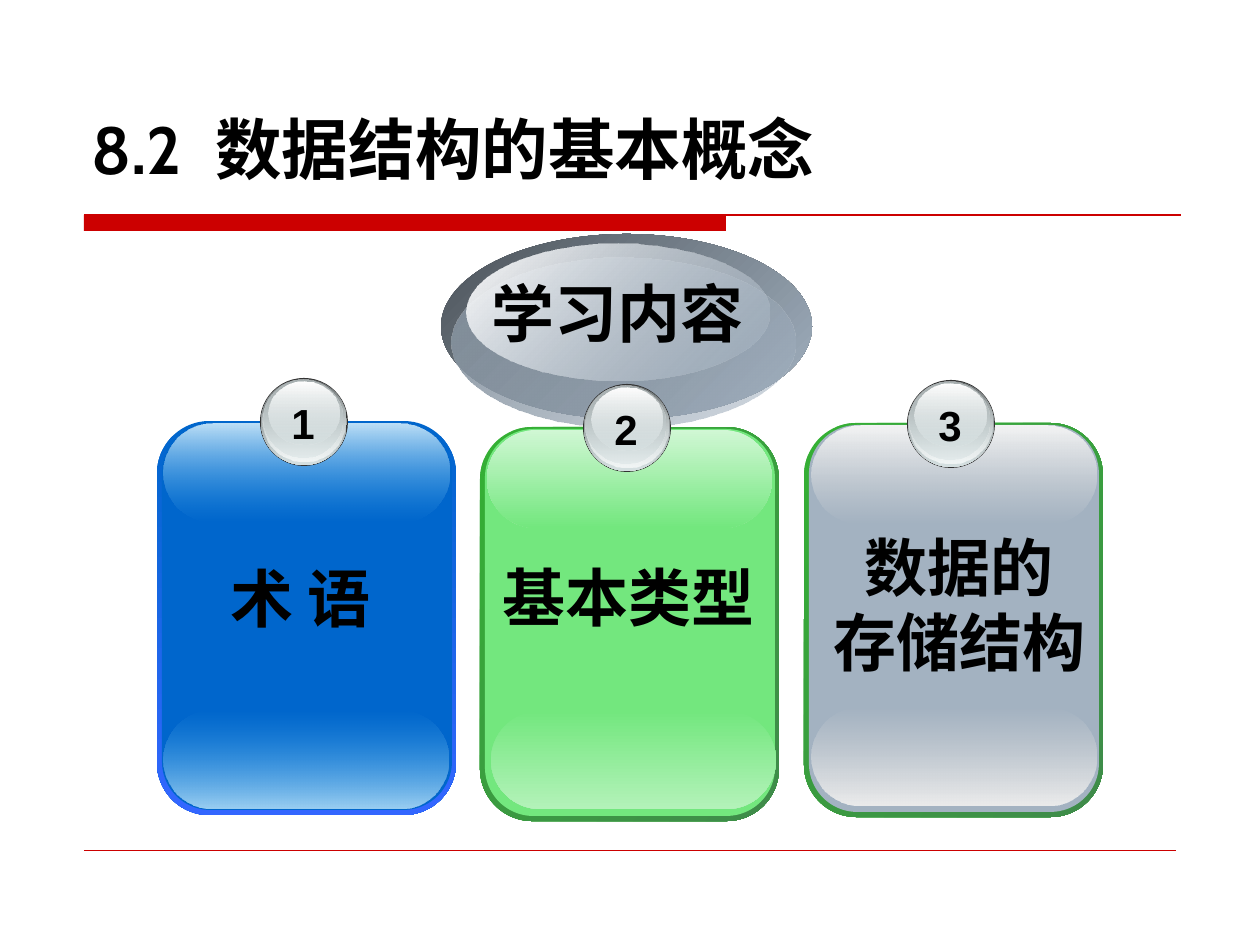
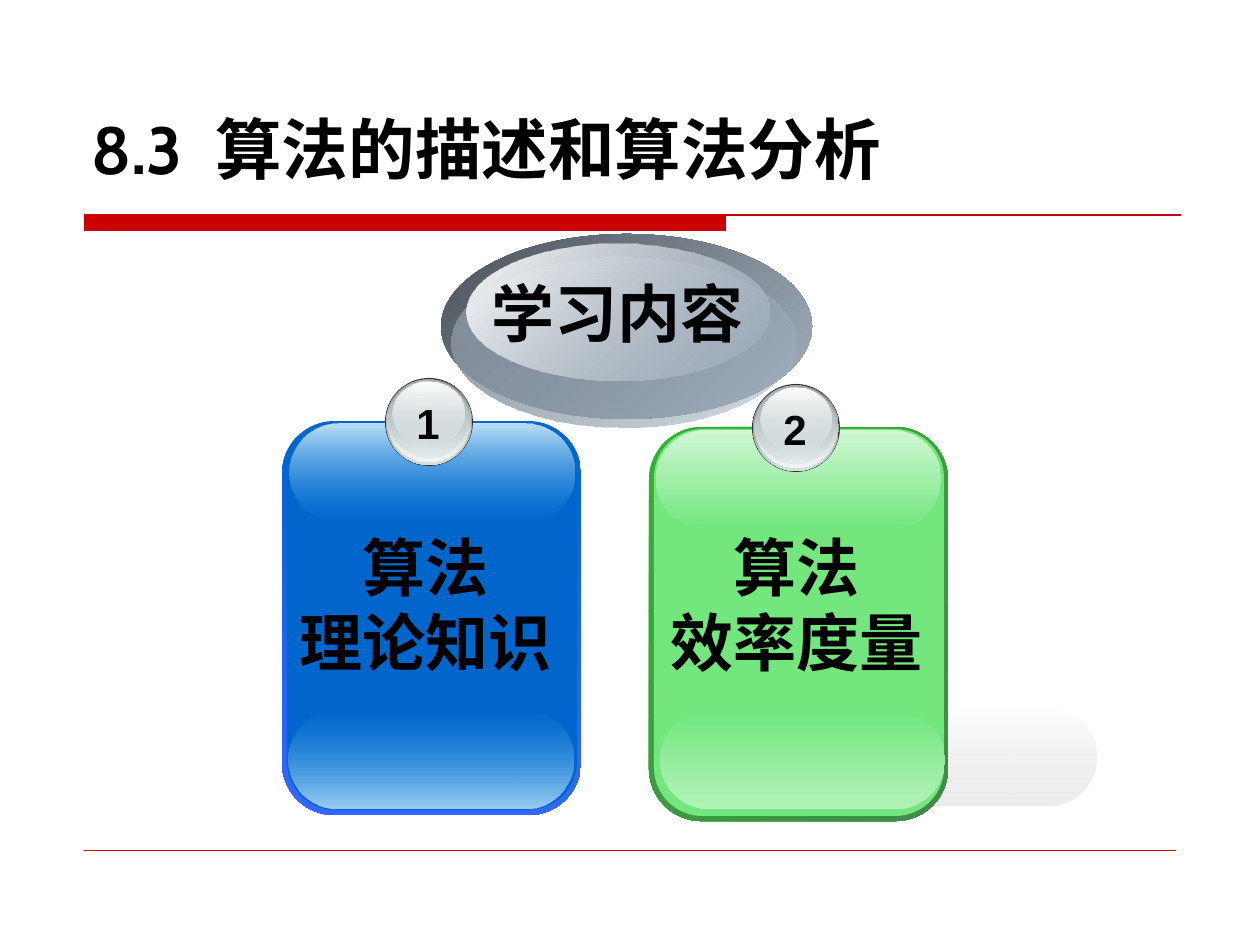
from pptx import Presentation
from pptx.dml.color import RGBColor as RGB
from pptx.enum.lang import MSO_LANGUAGE_ID as LANG
from pptx.enum.shapes import MSO_CONNECTOR as CONN, MSO_SHAPE as SHAPE
from pptx.enum.text import MSO_ANCHOR as ANCHOR, PP_ALIGN as ALIGN
from pptx.oxml.ns import qn
from pptx.util import Pt
from lxml.etree import SubElement

# Colours
RED = RGB(0xCC, 0x00, 0x00)
BLACK = RGB(0x00, 0x00, 0x00)
WHITE = RGB(0xFF, 0xFF, 0xFF)
COAL = RGB(0x33, 0x33, 0x33)
IRON = RGB(0x63, 0x68, 0x69)
ASH = RGB(0xAA, 0xB2, 0xB3)
MIST = RGB(0xD6, 0xE1, 0xE2)
FROST = RGB(0xF1, 0xF5, 0xF5)
SLATE = RGB(0x4B, 0x52, 0x59)
STEEL = RGB(0x81, 0x8D, 0x99)
GREY = RGB(0xA3, 0xB2, 0xC1)
SILVER = RGB(0xDD, 0xDD, 0xDD)
PEARL = RGB(0xEC, 0xEC, 0xEC)
CHALK = RGB(0xF4, 0xF4, 0xF4)
BLUE = RGB(0x00, 0x66, 0xCC)
ROYAL = RGB(0x33, 0x66, 0xFF)
SKY = RGB(0x3C, 0xA1, 0xE6)
PALE = RGB(0x9B, 0xCF, 0xF2)
ICE = RGB(0xBE, 0xE0, 0xF7)
GREEN = RGB(0x73, 0xE7, 0x7E)
LEAF = RGB(0x34, 0xB0, 0x34)
MOSS = RGB(0x3F, 0x8B, 0x4A)
MINT = RGB(0xB3, 0xF2, 0xB9)
LIME = RGB(0xD0, 0xF7, 0xD4)

# Gradients: angle, first colour and opacity, last colour and opacity
FOOT_GREY = (90, SILVER, 0, PEARL, 100)

# Card styles: top edge, rim, face, place of the foot gloss, both glosses
BLUE_CARD = dict(top=421, rim=(90, BLUE, 100, ROYAL, 100), face=BLUE,
                 low=(6, 290), foot=(90, SKY, 0, PALE, 100),
                 head=(90, ICE, 100, SKY, 0))
GREEN_CARD = dict(top=427, rim=(45, LEAF, 100, MOSS, 100), face=GREEN,
                  low=(11, 284), foot=(90, GREEN, 100, MINT, 100),
                  head=(90, LIME, 100, GREEN, 100))
GREY_CARD = dict(top=423, rim=(45, LEAF, 100, MOSS, 100), face=GREY,
                 low=(7, 285), foot=FOOT_GREY,
                 head=(90, CHALK, 100, SILVER, 0))

# Content: each card has a left edge, a style, label lines and a label box
TOPIC = "学习内容"
SLIDES = [
    dict(number="8.2", title="数据结构的基本概念", cards=[
        (157, BLUE_CARD, ["术 语"], (160, 553, 281, 88)),
        (480, GREEN_CARD, ["基本类型"], (488, 552, 281, 88)),
        (804, GREY_CARD, ["数据的", "存储结构"], (809, 522, 301, 164)),
    ]),
    dict(number="8.3", title="算法的描述和算法分析", spare=(811, 708), cards=[
        (282, BLUE_CARD, ["算法", "理论知识"], (285, 522, 281, 164)),
        (649, GREEN_CARD, ["算法", "效率度量"], (656, 522, 281, 164)),
    ]),
]

# Ellipse layers, from back to front: box and fill
OVAL = [
    ((441, 234, 371, 185), (45, SLATE, 100, GREY, 100)),
    ((451, 258, 344, 169), (45, STEEL, 100, GREY, 48)),
    ((467, 244, 303, 137), (45, WHITE, 100, GREY, 38)),
]
BADGE = [
    ((0, 0, 88, 88), COAL),
    ((1, 1, 86, 86), (90, IRON, 100, MIST, 100)),
    ((2, 1, 83, 83), (90, MIST, 0, FROST, 100)),
    ((3, 2, 79, 78), (90, ASH, 100, MIST, 48)),
    ((8, 4, 71, 63), (90, WHITE, 100, MIST, 38)),
]
CARD_W, CARD_H = 299, 394
FACE_W, FACE_H = 290, 387
GLOSS = (285, 98)
UNIT = 914400 / 126


def px(*vals):
    return [round(v * UNIT) for v in vals]


def paint(shape, fill):
    """Fill with a flat colour or a two-stop gradient."""
    if isinstance(fill, RGB):
        shape.fill.solid()
        shape.fill.fore_color.rgb = fill
        return
    angle, first, near, last, far = fill
    shape.fill.gradient()
    shape.fill.gradient_angle = 360 - angle
    for stop, color in zip(shape.fill.gradient_stops, (first, last)):
        stop.color.rgb = color
    tags = shape._element.spPr.iter(qn("a:srgbClr"))
    for tag, alpha in zip(list(tags), (near, far)):
        if alpha < 100:
            SubElement(tag, qn("a:alpha")).set("val", str(alpha * 1000))


def add(slide, kind, box, fill, round_by=None):
    shape = slide.shapes.add_shape(kind, *px(*box))
    shape.shadow.inherit = False
    shape.line.fill.background()
    if round_by is not None:
        shape.adjustments[0] = round_by
    paint(shape, fill)


def rule(slide, x1, x2, y, width):
    line = slide.shapes.add_connector(CONN.STRAIGHT, *px(x1, y, x2, y))
    line.line.color.rgb = RED
    line.line.width = Pt(width)
    SubElement(line._element.spPr, qn("a:effectLst"))


def style(run, size, name="Arial"):
    font = run.font
    font.size, font.name, font.bold = Pt(size), name, True
    font.color.rgb = BLACK
    font.language_id = LANG.SIMPLIFIED_CHINESE


def write(slide, box, lines, size, wrap=True):
    frame = slide.shapes.add_textbox(*px(*box)).text_frame
    frame.word_wrap = wrap
    frame.text = "\n".join(lines)
    for para in frame.paragraphs:
        para.alignment = ALIGN.CENTER
        style(para.runs[0], size)


def layers(slide, parts, left=0, top=0):
    for (x, y, w, h), fill in parts:
        add(slide, SHAPE.OVAL, (left + x, top + y, w, h), fill)


def gloss(slide, left, top, fill):
    add(slide, SHAPE.ROUNDED_RECTANGLE, (left, top, *GLOSS), fill, 0.5)


def head(slide, number, title):
    # Band, rules and title
    add(slide, SHAPE.RECTANGLE, (84, 215, 642, 16), RED)
    rule(slide, 84, 1181, 215, 0.75)
    rule(slide, 84, 1176, 850, 0.25)
    frame = slide.shapes.add_textbox(*px(79, 26, 1103, 168)).text_frame
    frame.word_wrap = True
    frame.vertical_anchor = ANCHOR.BOTTOM
    para = frame.paragraphs[0]
    # A tab stop sets the gap between number and title
    tabs = SubElement(para._p.get_or_add_pPr(), qn("a:tabLst"))
    tab = SubElement(tabs, qn("a:tab"))
    tab.set("pos", str(px(124)[0]))
    tab.set("algn", "l")
    for text, name in ((number + "\t", "Cabin"), (title, "Arial")):
        run = para.add_run()
        run.text = text
        style(run, 38, name)


def card(slide, index, left, look, lines, box):
    top = look["top"]
    add(slide, SHAPE.ROUNDED_RECTANGLE, (left, top, CARD_W, CARD_H),
        look["rim"], 0.175)
    add(slide, SHAPE.ROUNDED_RECTANGLE, (left + 5, top + 2, FACE_W, FACE_H),
        look["face"], 0.167)
    dx, dy = look["low"]
    gloss(slide, left + dx, top + dy, look["foot"])
    gloss(slide, left + 7, top + 3, look["head"])
    # Numbered badge on the top edge
    x, y = left + 103, top - 43
    layers(slide, BADGE, x, y)
    write(slide, (x + 19, y + 13, 48, 63), [str(index)], 24, wrap=False)
    write(slide, box, lines, 36)


def main():
    deck = Presentation()
    deck.slide_width, deck.slide_height = px(1260, 945)
    for page in SLIDES:
        slide = deck.slides.add_slide(deck.slide_layouts[6])
        head(slide, page["number"], page["title"])
        if "spare" in page:
            gloss(slide, *page["spare"], FOOT_GREY)
        layers(slide, OVAL)
        write(slide, (475, 268, 284, 88), [TOPIC], 36)
        for index, item in enumerate(page["cards"], 1):
            card(slide, index, *item)
    deck.save("out.pptx")


if __name__ == "__main__":
    main()
